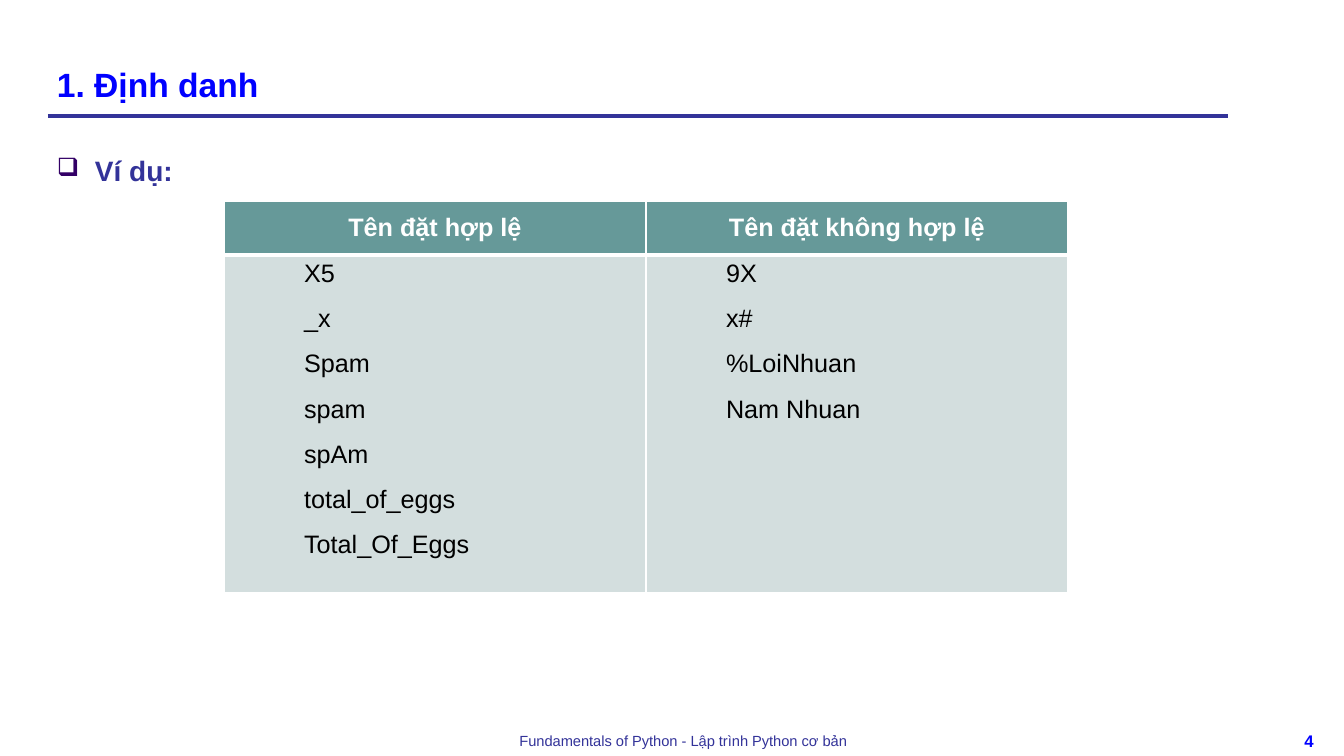
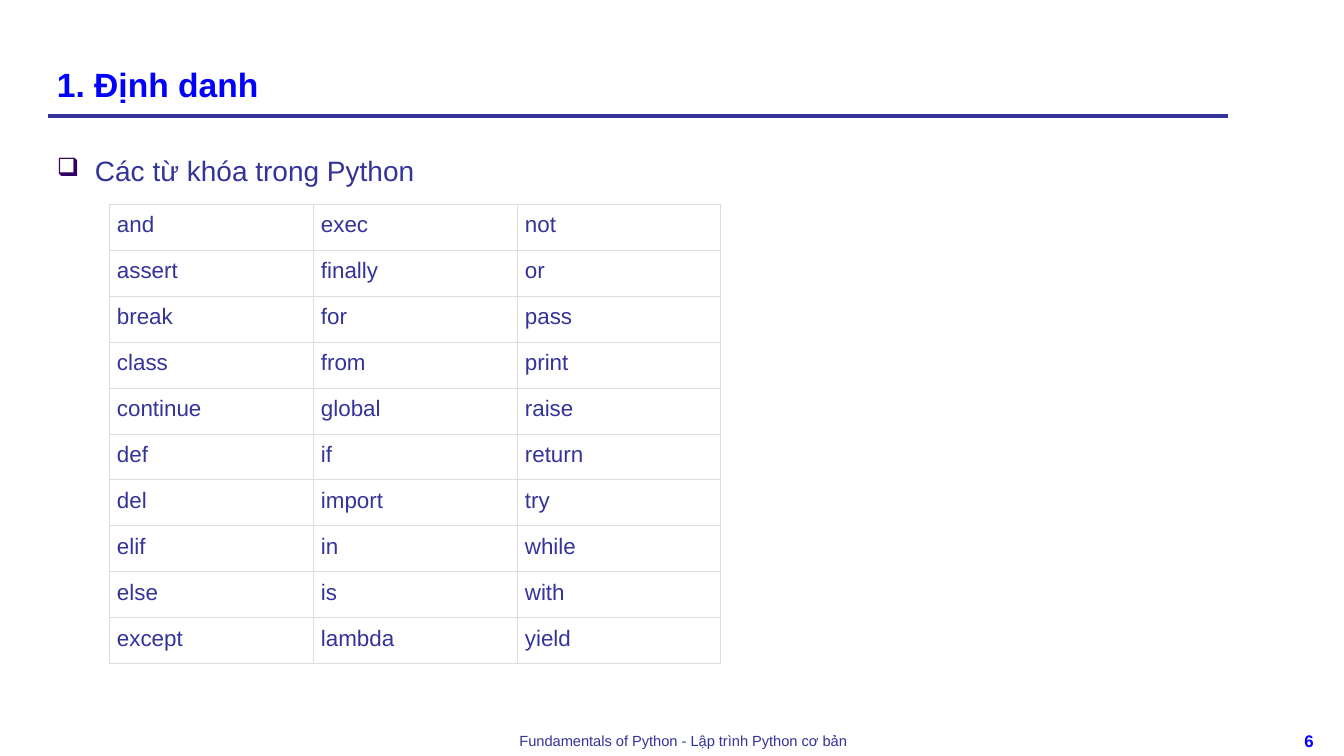
"""Build two slides on Python identifiers and keywords."""
import pptx
import pptx.util
import pptx.dml.color
import pptx.enum.shapes
import pptx.enum.text
import pptx.oxml
import pptx.oxml.ns

ALIGN = pptx.enum.text.PP_ALIGN
ANCHOR = pptx.enum.text.MSO_ANCHOR
Pt = pptx.util.Pt

FONT = "Arial"
BLUE, NAVY, PURPLE = "0000FF", "333399", "330066"
WHITE, BLACK, TEAL, MIST, GREY = "FFFFFF", "000000", "669999", "D3DEDE", "DDDDDD"

TITLE = "1. Định danh"
FOOTER = "Fundamentals of Python - Lập trình Python cơ bản"

NAMES = {
    "Tên đặt hợp lệ": ["X5", "_x", "Spam", "spam", "spAm", "total_of_eggs", "Total_Of_Eggs"],
    "Tên đặt không hợp lệ": ["9X", "x#", "%LoiNhuan", "Nam Nhuan"],
}
KEYWORDS = [
    ["and", "assert", "break", "class", "continue", "def", "del", "elif", "else", "except"],
    ["exec", "finally", "for", "from", "global", "if", "import", "in", "is", "lambda"],
    ["not", "or", "pass", "print", "raise", "return", "try", "while", "with", "yield"],
]

TITLE_FONT = dict(size=24, color=BLUE, bold=True)
FOOTER_FONT = dict(size=10.5, color=NAVY, bold=False)
NUMBER_FONT = dict(size=12, color=BLUE, bold=True)
HEAD_FONT = dict(size=18, color=WHITE, bold=True)
NAME_FONT = dict(size=18, color=BLACK, bold=False)
KEYWORD_FONT = dict(size=16, color=NAVY, bold=False)

CENTER = dict(alignment=ALIGN.CENTER)
NAME_PARA = dict(alignment=ALIGN.JUSTIFY, space_before=Pt(6), space_after=Pt(6))


def px(n):
    return pptx.util.Emu(round(n * 914400 / 100.8))


def rgb(color):
    return pptx.dml.color.RGBColor.from_string(color)


def add_xml(parent, xml):
    head, sep, tail = xml.partition("/>")
    tag, space, attrs = head[1:].partition(" ")
    ns = pptx.oxml.ns.nsdecls("a")
    if xml.count("<") == 1:
        xml = f"<{tag} {ns} {attrs}/>"
    else:
        xml = xml.replace(">", f" {ns}>", 1)
    parent.append(pptx.oxml.parse_xml(xml))


def write(tf, lines, font, para):
    for i, line in enumerate(lines):
        p = tf.add_paragraph() if i else tf.paragraphs[0]
        for name, value in para.items():
            setattr(p, name, value)
        r = p.add_run()
        r.text = line
        values = dict(name=FONT, size=Pt(font["size"]), bold=font["bold"])
        for name, value in values.items():
            setattr(r.font, name, value)
        r.font.color.rgb = rgb(font["color"])


def add_text(slide, box, text, font, para=None, anchor=ANCHOR.TOP):
    tf = slide.shapes.add_textbox(*map(px, box)).text_frame
    tf.word_wrap = True
    tf.vertical_anchor = anchor
    write(tf, [text], font, para or {})
    return tf.paragraphs[0]


def add_slide(prs, number, heading, bold):
    slide = prs.slides.add_slide(prs.slide_layouts[6])
    rule = slide.shapes.add_connector(
        pptx.enum.shapes.MSO_CONNECTOR.STRAIGHT, px(48), px(116), px(1228), px(116))
    rule.line.color.rgb = rgb(NAVY)
    rule.line.width = Pt(3)
    add_xml(rule._element.spPr, "<a:effectLst/>")
    add_text(slide, (325, 727, 717, 29), FOOTER, FOOTER_FONT, CENTER)
    add_text(slide, (1277, 726, 64, 30), number, NUMBER_FONT, CENTER)
    add_text(slide, (47, 21, 1164, 88), TITLE, TITLE_FONT, anchor=ANCHOR.BOTTOM)
    p = add_text(slide, (47, 132, 1164, 572), heading,
                 dict(size=20, color=NAVY, bold=bold), dict(line_spacing=1.5))
    pPr = p._p.get_or_add_pPr()
    pPr.set("marL", str(px(38)))
    pPr.set("indent", str(px(-38)))
    add_xml(pPr, f'<a:buClr><a:srgbClr val="{PURPLE}"/></a:buClr>')
    add_xml(pPr, '<a:buSzPct val="90000"/>')
    add_xml(pPr, '<a:buChar char="❑"/>')
    return slide


def add_grid(slide, left, top, col_width, columns, row_heights):
    width = col_width * columns
    box = (left, top, width, sum(row_heights))
    table = slide.shapes.add_table(len(row_heights), columns, *map(px, box)).table
    table.first_row = table.horz_banding = False
    for col in table.columns:
        col.width = px(col_width)
    for row, height in zip(table.rows, row_heights):
        row.height = px(height)
    return table


def style_cell(cell, fill, line, widths):
    tcPr = cell._tc.get_or_add_tcPr()
    for side, width in zip("LRTB", widths):
        add_xml(tcPr, f'<a:ln{side} w="{Pt(width)}"><a:solidFill>'
                      f'<a:srgbClr val="{line}"/></a:solidFill></a:ln{side}>')
    if fill:
        cell.fill.solid()
        cell.fill.fore_color.rgb = rgb(fill)
    else:
        cell.fill.background()


def add_names(slide):
    table = add_grid(slide, 224, 201, 422, len(NAMES), [54, 338])
    for c, (head, names) in enumerate(NAMES.items()):
        top, body = table.cell(0, c), table.cell(1, c)
        style_cell(top, TEAL, WHITE, (1, 1, 1, 3))
        style_cell(body, MIST, WHITE, (1, 1, 3, 1))
        top.vertical_anchor = ANCHOR.MIDDLE
        write(top.text_frame, [head], HEAD_FONT, CENTER)
        write(body.text_frame, names, NAME_FONT, NAME_PARA)
        for p in body.text_frame.paragraphs:
            p._p.get_or_add_pPr().set("marL", str(px(70)))


def add_keywords(slide):
    table = add_grid(slide, 109, 204, 204, len(KEYWORDS), [46] * len(KEYWORDS[0]))
    for c, words in enumerate(KEYWORDS):
        for r, word in enumerate(words):
            cell = table.cell(r, c)
            style_cell(cell, None, GREY, [0.75] * 4)
            for side in ("left", "right", "top", "bottom"):
                setattr(cell, f"margin_{side}", px(8))
            write(cell.text_frame, [word], KEYWORD_FONT, {})


def main():
    prs = pptx.Presentation()
    prs.slide_width, prs.slide_height = px(1344), px(756)
    add_names(add_slide(prs, "4", "Ví dụ:", True))
    add_keywords(add_slide(prs, "6", "Các từ khóa trong Python", False))
    prs.save("out.pptx")


if __name__ == "__main__":
    main()
